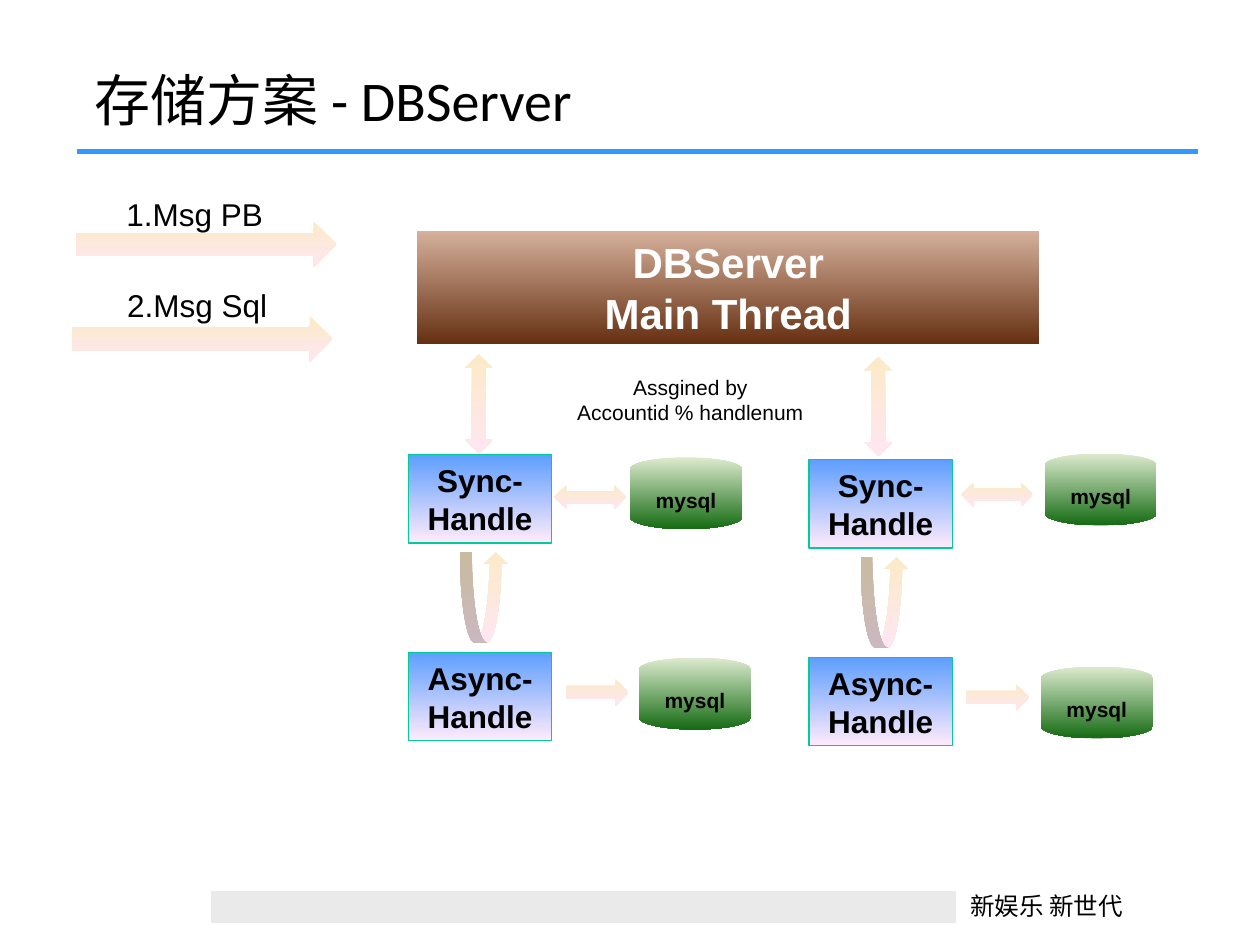
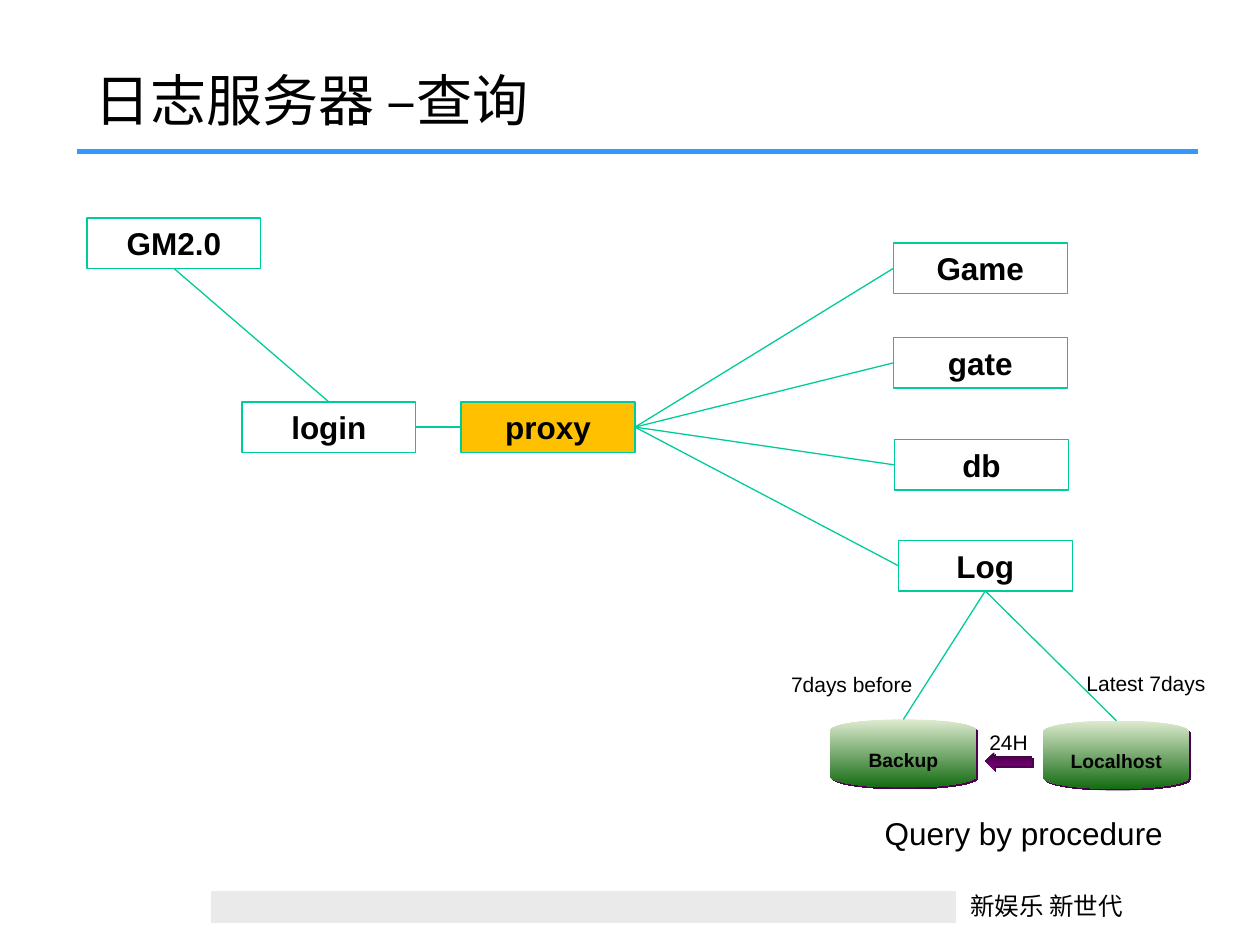
from dataclasses import dataclass

from lxml import etree
from pptx import Presentation
from pptx import util as u
from pptx.dml.color import RGBColor
from pptx.enum import shapes, text
from pptx.oxml import ns

COLORS = {
    "ink": "000000",
    "white": "FFFFFF",
    "rule": "3399FF",
    "band": "EAEAEA",
    "edge": "00CC99",
    "proxy": "FFC000",
    "shadow": "4D004D",
}
GRADIENTS = {
    "arrow": ("FBEAC7", "FEE7F2"),
    "thread": ("D6B19C", "663012"),
    "disk": ("DDEBCF", "156B13"),
    "handle": ("5E9EFF", "FFEBFA"),
    "backup": ("3B003B", "800080"),
}
CJK_FONT = "Noto Sans CJK SC"
SHAPE = shapes.MSO_SHAPE


@dataclass(frozen=True)
class Style:
    size: float
    bold: bool = False
    color: str = "ink"
    font: str = "Arial"
    align: text.PP_ALIGN = text.PP_ALIGN.CENTER
    anchor: text.MSO_ANCHOR = text.MSO_ANCHOR.TOP


@dataclass(frozen=True)
class Block:
    kind: SHAPE
    width: float
    height: float
    gradient: str = ""
    fill: str = ""
    edge: str = ""
    shadow: bool = False
    style: Style = Style(18, bold=True)


@dataclass(frozen=True)
class Column:
    dx: float
    dy: float
    main_link: tuple[float, float]
    sync_link: tuple[float, float]
    sync_disk: tuple[float, float]
    async_disk: tuple[float, float]


TITLE = Style(32, font="Calibri", align=text.PP_ALIGN.LEFT, anchor=text.MSO_ANCHOR.BOTTOM)
SLOGAN = Style(14, font=CJK_FONT, align=text.PP_ALIGN.LEFT)
LABEL = Style(18)
NOTE = Style(12)

BAND = Block(SHAPE.RECTANGLE, 5.9, 0.24, fill="band", edge="band")
MESSAGE = Block(SHAPE.RIGHT_ARROW, 2.07, 0.36, "arrow")
MAIN_THREAD = Block(SHAPE.FLOWCHART_PROCESS, 4.94, 0.9, "thread", style=Style(24, True, "white"))
HANDLE = Block(SHAPE.RECTANGLE, 1.14, 0.7, "handle", edge="edge")
MYSQL = Block(SHAPE.FLOWCHART_MAGNETIC_DISK, 0.89, 0.57, "disk", style=Style(12, True))
MAIN_LINK = Block(SHAPE.UP_DOWN_ARROW, 0.22, 0.79, "arrow")
SYNC_LINK = Block(SHAPE.LEFT_RIGHT_ARROW, 0.57, 0.19, "arrow")
ASYNC_LINK = Block(SHAPE.RIGHT_ARROW, 0.5, 0.21, "arrow")
RETURN = Block(SHAPE.CURVED_UP_ARROW, 0.38, 0.72, "arrow")
SERVER = Block(SHAPE.RECTANGLE, 1.38, 0.4, edge="edge")
PROXY = Block(SHAPE.RECTANGLE, 1.38, 0.4, fill="proxy", edge="edge")
LOG_DISK = Block(SHAPE.FLOWCHART_MAGNETIC_DISK, 1.16, 0.54, "disk", shadow=True, style=Style(11, True))
BACKUP_ARROW = Block(SHAPE.LEFT_ARROW, 0.37, 0.14, "backup", shadow=True)

COLUMNS = [
    Column(0, 0, (3.69, 2.81), (4.4, 3.85), (5, 3.63), (5.07, 5.22)),
    Column(3.18, 0.04, (6.86, 2.83), (7.63, 3.83), (8.29, 3.6), (8.26, 5.29)),
]


def rgb(name: str) -> RGBColor:
    return RGBColor.from_string(COLORS[name])


def write(frame, words: str, style: Style) -> None:
    frame.text = words
    frame.word_wrap = True
    frame.vertical_anchor = style.anchor
    for paragraph in frame.paragraphs:
        paragraph.alignment = style.align
        for run in paragraph.runs:
            run.font.size = u.Pt(style.size)
            run.font.bold = style.bold
            run.font.color.rgb = rgb(style.color)
            run.font.name = style.font
            east_asian = etree.SubElement(run._r.get_or_add_rPr(), ns.qn("a:ea"))
            east_asian.set("typeface", CJK_FONT)


def add_text(slide, words: str, left: float, top: float, width: float, height: float, style: Style) -> None:
    box = slide.shapes.add_textbox(u.Inches(left), u.Inches(top), u.Inches(width), u.Inches(height))
    write(box.text_frame, words, style)


def cast_shadow(shape) -> None:
    effects = shape._element.spPr.find(ns.qn("a:effectLst"))
    outer = etree.SubElement(effects, ns.qn("a:outerShdw"), dist=str(u.Pt(1.4)), dir="2700000", algn="ctr", rotWithShape="0")
    etree.SubElement(outer, ns.qn("a:srgbClr"), val=COLORS["shadow"])


def add_block(slide, block: Block, left: float, top: float, words: str = ""):
    shape = slide.shapes.add_shape(
        block.kind, u.Inches(left), u.Inches(top), u.Inches(block.width), u.Inches(block.height)
    )
    if block.gradient:
        shape.fill.gradient()
        shape.fill.gradient_angle = 270
        for stop, color in zip(shape.fill.gradient_stops, GRADIENTS[block.gradient]):
            stop.color.rgb = RGBColor.from_string(color)
    elif block.fill:
        shape.fill.solid()
        shape.fill.fore_color.rgb = rgb(block.fill)
    else:
        shape.fill.background()
    if block.edge:
        shape.line.color.rgb = rgb(block.edge)
        shape.line.width = u.Pt(0.75)
    else:
        shape.line.fill.background()
    shape.shadow.inherit = False
    if block.shadow:
        cast_shadow(shape)
    if words:
        write(shape.text_frame, words, block.style)
    return shape


def add_line(slide, start: tuple[float, float], end: tuple[float, float], color: str = "edge", weight: float = 0.75):
    line = slide.shapes.add_connector(
        shapes.MSO_CONNECTOR.STRAIGHT, *(u.Inches(value) for value in (*start, *end))
    )
    line.line.color.rgb = rgb(color)
    line.line.width = u.Pt(weight)
    etree.SubElement(line._element.spPr, ns.qn("a:effectLst"))
    return line


def join(slide, source, source_side: int, target, target_side: int) -> None:
    line = add_line(slide, (0, 0), (1, 1))
    line.begin_connect(source, source_side)
    line.end_connect(target, target_side)


def add_slide(deck, title: str):
    slide = deck.slides.add_slide(deck.slide_layouts[6])
    add_line(slide, (0.61, 1.2), (9.51, 1.2), "rule", 3)
    add_block(slide, BAND, 1.68, 7.08)
    add_text(slide, "新娱乐 新世代", 7.6, 7.02, 1.48, 0.34, SLOGAN)
    add_text(slide, title, 0.65, 0.47, 8.75, 0.63, TITLE)
    return slide


def add_column(slide, column: Column) -> None:
    def place(block: Block, left: float, top: float, words: str = "") -> None:
        add_block(slide, block, left + column.dx, top + column.dy, words)

    place(HANDLE, 3.24, 3.61, "Sync-\nHandle")
    place(HANDLE, 3.24, 5.18, "Async-\nHandle")
    place(RETURN, 3.65, 4.38)
    place(ASYNC_LINK, 4.49, 5.39)
    add_block(slide, MAIN_LINK, *column.main_link)
    add_block(slide, SYNC_LINK, *column.sync_link)
    for disk in (column.sync_disk, column.async_disk):
        add_block(slide, MYSQL, *disk, "mysql")


def build_storage(deck) -> None:
    slide = add_slide(deck, "存储方案 - DBServer")
    add_block(slide, MESSAGE, 0.6, 1.76)
    add_block(slide, MESSAGE, 0.57, 2.51)
    add_text(slide, "1.Msg PB", 0.89, 1.5, 1.31, 0.4, LABEL)
    add_text(slide, "2.Msg Sql", 0.85, 2.22, 1.43, 0.4, LABEL)
    add_block(slide, MAIN_THREAD, 3.31, 1.83, "DBServer\nMain Thread")
    for column in COLUMNS:
        add_column(slide, column)
    add_text(slide, "Assgined by\nAccountid % handlenum", 4.31, 2.92, 2.34, 0.5, NOTE)


def build_log_query(deck) -> None:
    slide = add_slide(deck, "日志服务器 –查询")
    gm = add_block(slide, SERVER, 0.69, 1.73, "GM2.0")
    login = add_block(slide, SERVER, 1.92, 3.19, "login")
    proxy = add_block(slide, PROXY, 3.66, 3.19, "proxy")
    join(slide, login, 0, gm, 2)
    join(slide, login, 3, proxy, 1)
    for name, left, top in (("Game", 7.09, 1.93), ("gate", 7.09, 2.68), ("db", 7.1, 3.49), ("Log", 7.13, 4.29)):
        server = add_block(slide, SERVER, left, top, name)
        join(slide, proxy, 3, server, 1)
    for name, left, top in (("Backup", 6.59, 5.71), ("Localhost", 8.28, 5.72)):
        add_block(slide, LOG_DISK, left, top, name)
        branch = add_line(slide, (7.82, 4.7), (left + LOG_DISK.width / 2, top))
        branch.begin_connect(server, 2)
    add_text(slide, "Query by procedure", 6.75, 6.41, 2.75, 0.4, LABEL)
    add_text(slide, "Latest 7days", 8.45, 5.27, 1.29, 0.3, NOTE)
    add_text(slide, "7days before", 6.17, 5.28, 1.18, 0.3, NOTE)
    add_block(slide, BACKUP_ARROW, 7.82, 5.97)
    add_text(slide, "24H", 7.7, 5.74, 0.61, 0.3, NOTE)


def main() -> None:
    deck = Presentation()
    deck.slide_width, deck.slide_height = u.Inches(10), u.Inches(7.5)
    build_storage(deck)
    build_log_query(deck)
    deck.save("out.pptx")


if __name__ == "__main__":
    main()
